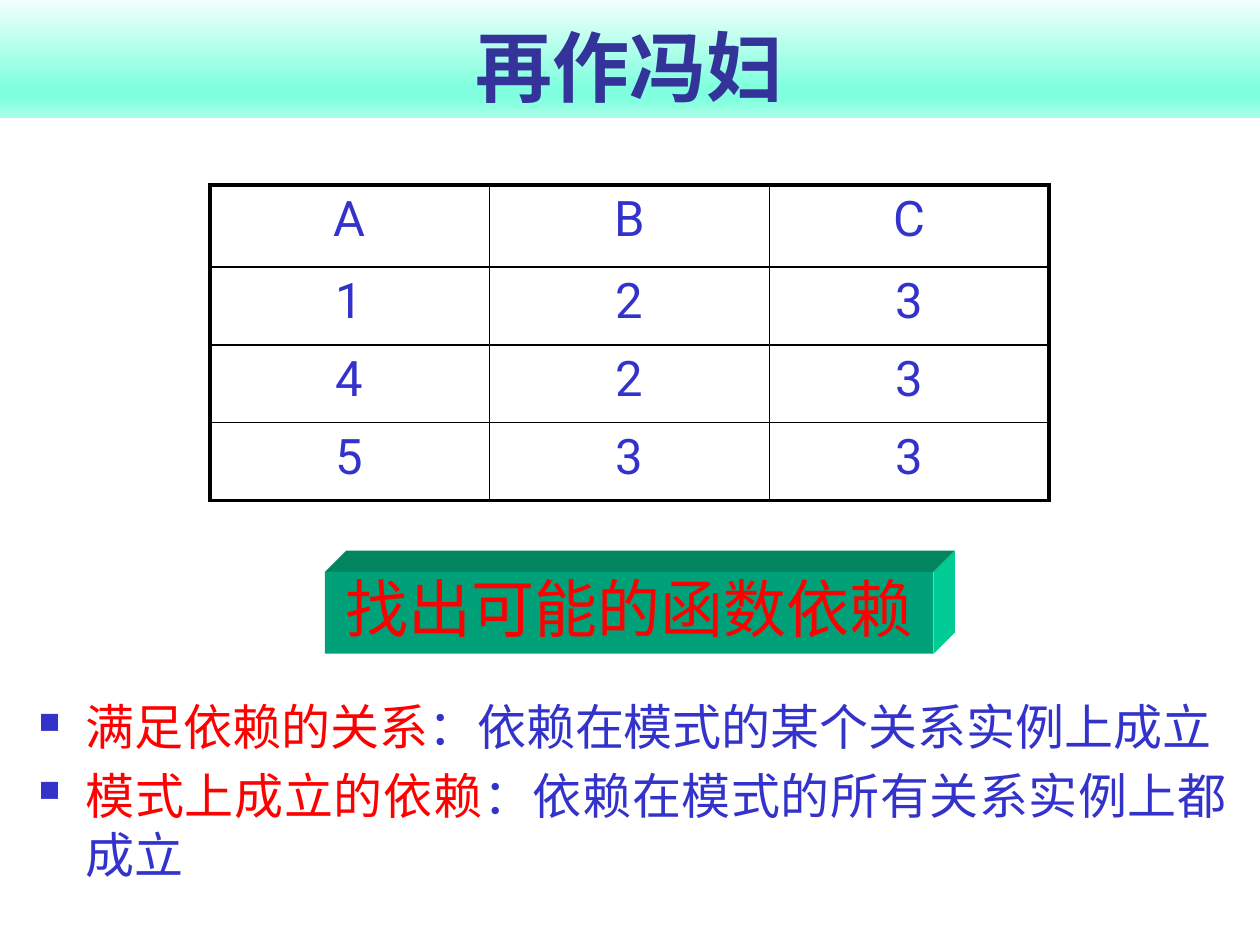
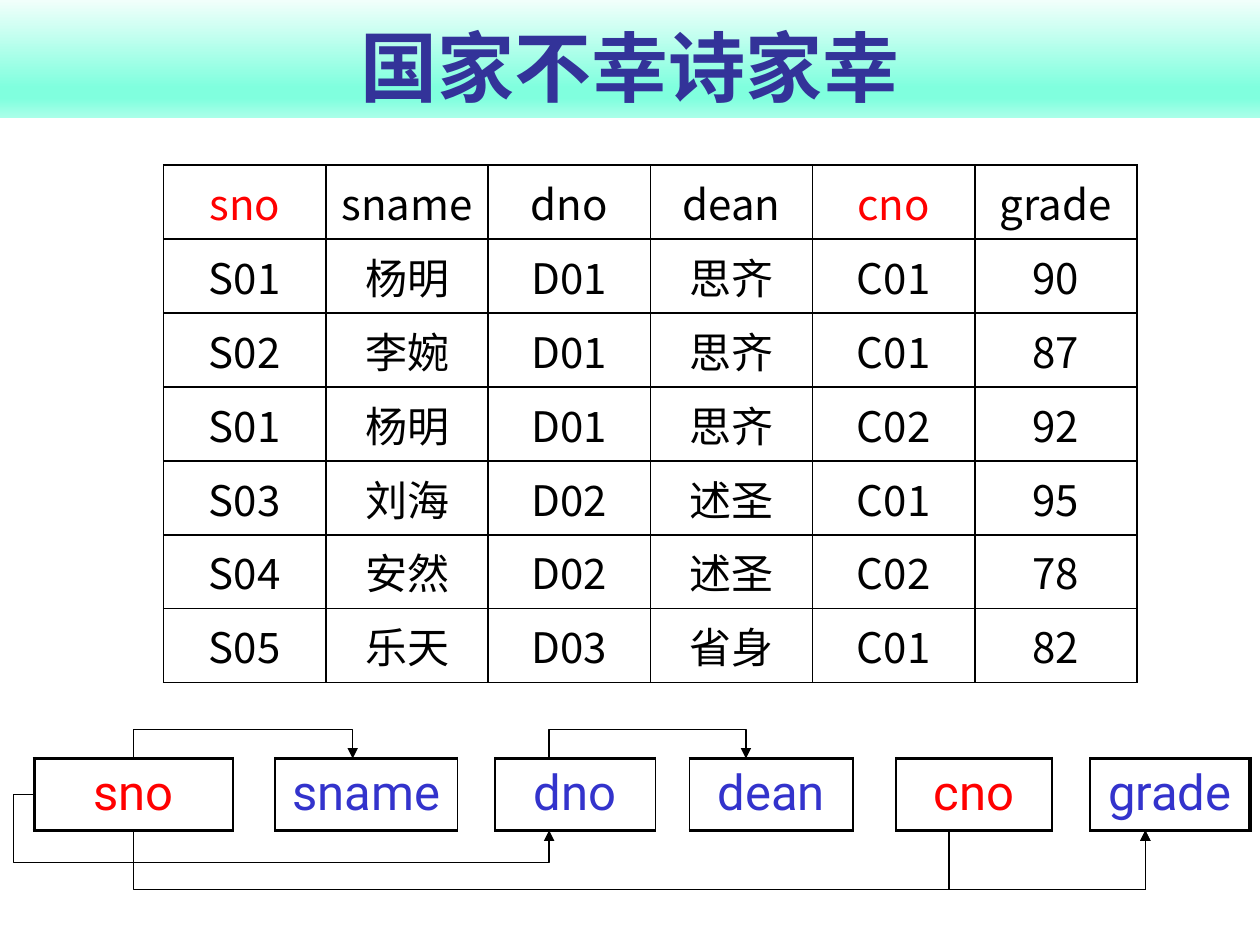
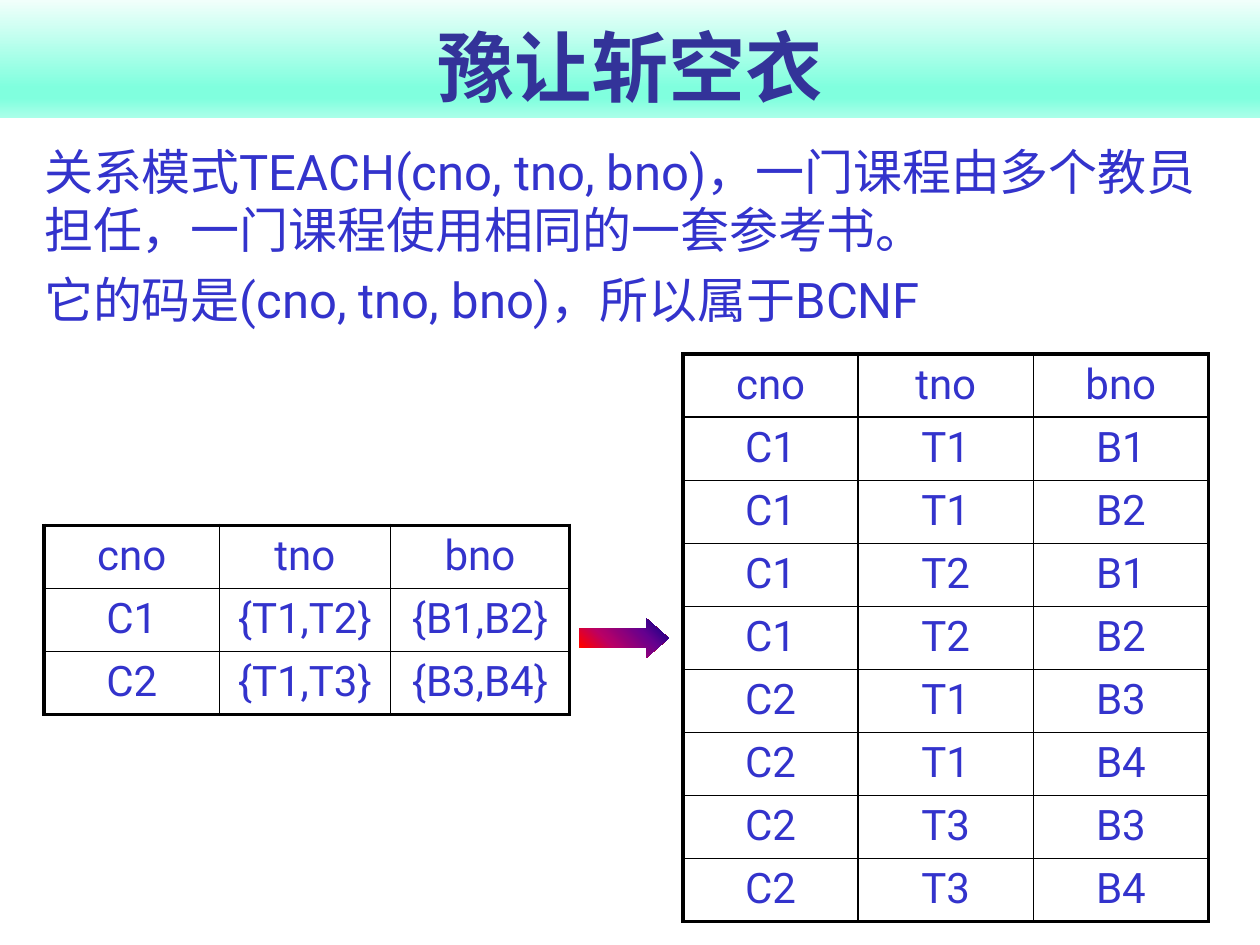
from lxml.etree import SubElement
from pptx import Presentation
from pptx.dml.color import RGBColor
from pptx.enum.shapes import MSO_CONNECTOR, MSO_SHAPE
from pptx.enum.text import MSO_ANCHOR, MSO_AUTO_SIZE, PP_ALIGN
from pptx.oxml import parse_xml
from pptx.oxml.ns import nsdecls, qn
from pptx.util import Cm, Emu, Pt

COLOURS = {
    "title": "333399",
    "text": "3333CC",
    "accent": "FF0000",
    "line": "000000",
    "front": "00A078",
    "top": "008560",
    "side": "00CB95",
}
BAND_STOPS = [(0, "F1FFFB"), (74, "80FFDE"), (83, "80FFDE"), (100, "AAFFE9")]
ARROW_STOPS = [(0, "FF8200"), (10, "FF0000"), (35, "BA0066"), (70, "66008F"), (100, "000082")]
FONT = "Roboto"
TABLE_FONT = "Noto Sans CJK JP"
BOX_FONT = "Times New Roman"
THICK, THIN = 2.25, 1
KEYS = {"sno", "cno"}
CONNECTOR_THICKNESS = Emu(1588)


def style(font, size, colour="text", name=FONT, bold=False):
    font.name = name
    font.size = Pt(size)
    font.bold = bold
    font.color.rgb = RGBColor.from_string(COLOURS[colour])


def set_gradient(shape, stops, angle):
    shape.fill.background()
    properties = shape.element.spPr
    marks = "".join(
        f'<a:gs pos="{pos * 1000}"><a:srgbClr val="{colour}"/></a:gs>' for pos, colour in stops
    )
    gradient = parse_xml(
        f'<a:gradFill {nsdecls("a")} rotWithShape="1"><a:gsLst>{marks}</a:gsLst>'
        f'<a:lin ang="{angle * 60000}" scaled="0"/></a:gradFill>'
    )
    properties.replace(properties.find(qn("a:noFill")), gradient)


def paint(shape, colour):
    shape.shadow.inherit = False
    shape.fill.solid()
    shape.fill.fore_color.rgb = RGBColor.from_string(COLOURS[colour])
    shape.line.fill.background()


def add_titled_page(deck, text):
    page = deck.slides.add_slide(deck.slide_layouts[5])
    title = page.shapes.title
    title.left, title.top, title.width, title.height = Cm(0), Cm(0), deck.slide_width, Cm(2.38)
    set_gradient(title, BAND_STOPS, 90)
    frame = title.text_frame
    frame.text = text
    frame.auto_size = MSO_AUTO_SIZE.NONE
    frame.vertical_anchor = MSO_ANCHOR.BOTTOM
    para = frame.paragraphs[0]
    para.alignment = PP_ALIGN.CENTER
    style(para.font, 44, "title", bold=True)
    return page


def add_text_box(page, left, top, width, height):
    frame = page.shapes.add_textbox(Cm(left), Cm(top), Cm(width), Cm(height)).text_frame
    frame.word_wrap = True
    return frame


def set_borders(cell, widths):
    properties = cell._tc.get_or_add_tcPr()
    for side, width in zip("LRTB", widths):
        line = SubElement(properties, qn(f"a:ln{side}"), w=str(Pt(width)))
        if width:
            fill = SubElement(line, qn("a:solidFill"))
            SubElement(fill, qn("a:srgbClr"), val=COLOURS["line"])
        else:
            SubElement(line, qn("a:noFill"))


def add_grid(page, left, top, columns, heights, rows, size, colour="text", name=FONT,
             outer=THICK, keys=(), anchor=MSO_ANCHOR.TOP):
    table = page.shapes.add_table(
        len(rows), len(columns), Cm(left), Cm(top), Cm(sum(columns)), Cm(sum(heights))
    ).table
    table.first_row = table.horz_banding = False
    for column, width in zip(table.columns, columns):
        column.width = Cm(width)
    for row, height in zip(table.rows, heights):
        row.height = Cm(height)
    last_row, last_column = len(rows) - 1, len(columns) - 1
    for y, row in enumerate(rows):
        for x, text in enumerate(row):
            cell = table.cell(y, x)
            edges = (x == 0, x == last_column, y == 0, y == last_row)
            widths = [outer if edge else THIN for edge in edges]
            if not text:
                widths[2:] = 0, 0
            set_borders(cell, widths)
            cell.fill.background()
            cell.vertical_anchor = anchor
            cell.text = text
            para = cell.text_frame.paragraphs[0]
            para.alignment = PP_ALIGN.CENTER
            style(para.font, size, "accent" if text in keys else colour, name)


def add_block(page, left, top, width, height, depth, text):
    right, bottom = left + width, top + height
    faces = {
        "top": [(left, top), (left + depth, top - depth), (right + depth, top - depth), (right, top)],
        "side": [(right, top), (right + depth, top - depth),
                 (right + depth, bottom - depth), (right, bottom)],
    }
    for colour, corners in faces.items():
        points = [(Cm(x), Cm(y)) for x, y in corners]
        builder = page.shapes.build_freeform(*points[0])
        builder.add_line_segments(points[1:])
        paint(builder.convert_to_shape(), colour)
    front = page.shapes.add_shape(MSO_SHAPE.RECTANGLE, Cm(left), Cm(top), Cm(width), Cm(height))
    paint(front, "front")
    frame = front.text_frame
    frame.text = text
    frame.word_wrap = False
    frame.vertical_anchor = MSO_ANCHOR.TOP
    para = frame.paragraphs[0]
    para.alignment = PP_ALIGN.CENTER
    para.line_spacing = 0.9
    style(para.font, 36, "accent", BOX_FONT)


def add_bullets(page, left, top, width, height, items):
    frame = add_text_box(page, left, top, width, height)
    for index, (term, meaning) in enumerate(items):
        para = frame.add_paragraph() if index else frame.paragraphs[0]
        properties = para._p.get_or_add_pPr()
        properties.set("marL", str(Cm(0.95)))
        properties.set("indent", str(-Cm(0.95)))
        colour = SubElement(properties, qn("a:buClr"))
        SubElement(colour, qn("a:srgbClr"), val=COLOURS["text"])
        SubElement(properties, qn("a:buSzPct"), val="60000")
        SubElement(properties, qn("a:buChar"), char="■")
        para.alignment = PP_ALIGN.JUSTIFY
        if index:
            para.space_before = Pt(5.6)
        for text, tone in ((term, "accent"), (meaning, "text")):
            span = para.add_run()
            span.text = text
            style(span.font, 28, tone)


def add_statement(page, left, top, width, height, lines):
    frame = add_text_box(page, left, top, width, height)
    for index, text in enumerate(lines):
        para = frame.add_paragraph() if index else frame.paragraphs[0]
        para.text = text
        if index:
            para.space_before = Pt(6)
        style(para.font, 28)


def add_elbow(page, start, end, preset, adjustments):
    connector = page.shapes.add_connector(MSO_CONNECTOR.ELBOW, *start, *end)
    connector.line.color.rgb = RGBColor.from_string(COLOURS["line"])
    connector.line.width = Pt(0.75)
    properties = connector.element.spPr
    SubElement(properties.find(qn("a:ln")), qn("a:tailEnd"), type="triangle")
    SubElement(properties, qn("a:effectLst"))
    geometry = properties.find(qn("a:prstGeom"))
    geometry.set("prst", preset)
    guides = geometry.find(qn("a:avLst"))
    for number, ratio in enumerate(adjustments, 1):
        SubElement(guides, qn("a:gd"), name=f"adj{number}", fmla=f"val {round(ratio * 100000)}")
    return connector


def add_bracket(page, source, target, level, depth):
    middle, span = Cm((source + target) / 2), Cm(target - source)
    left, top = middle - CONNECTOR_THICKNESS // 2, Cm(level) - span // 2
    connector = add_elbow(
        page, (left, top), (left + CONNECTOR_THICKNESS, top + span),
        "bentConnector3", [Cm(depth) / CONNECTOR_THICKNESS],
    )
    turn, flip = (90, "flipV") if depth < 0 else (270, "flipH")
    frame = connector.element.spPr.find(qn("a:xfrm"))
    frame.set("rot", str(turn * 60000))
    frame.set(flip, "1")


def add_dependencies(page, left, top, height):
    names = ["sno", "", "sname", "", "dno", "", "dean", "", "cno", "", "grade"]
    widths = [4.01, 0.84, 3.68, 0.76, 3.23, 0.69, 3.3, 0.86, 3.15, 0.76, 3.23]
    add_grid(page, left, top, widths, [height], [names], 28, keys=KEYS)
    offsets = {"sno": 2, "sname": 6.42, "dno": 10.38, "dean": 14.35, "cno": 18.44, "grade": 22.4}
    ports = {name: left + offset for name, offset in offsets.items()}
    bottom = top + height
    for source, target, level, depth in (
        ("sno", "sname", top, -0.64),
        ("dno", "dean", top, -0.64),
        ("sno", "grade", bottom, 1.32),
        ("cno", "grade", bottom, 1.32),
    ):
        add_bracket(page, ports[source], ports[target], level, depth)
    reach, drop = ports["dno"] - left, height / 2
    add_elbow(
        page, (Cm(left), Cm(top + drop)), (Cm(ports["dno"]), Cm(bottom)),
        "bentConnector4", [-0.42 / reach, (drop + 0.64) / drop],
    )


def add_gradient_arrow(page, left, top, width, height):
    arrow = page.shapes.add_shape(MSO_SHAPE.RIGHT_ARROW, Cm(left), Cm(top), Cm(width), Cm(height))
    arrow.shadow.inherit = False
    arrow.adjustments[0], arrow.adjustments[1] = 0.5, 0.565
    arrow.line.fill.background()
    set_gradient(arrow, ARROW_STOPS, 315)


def build_finding_page(deck):
    page = add_titled_page(deck, "再作冯妇")
    rows = ["ABC", "123", "423", "533"]
    add_grid(page, 4.23, 3.73, [5.64] * 3, [1.65] + [1.57] * 3, rows, 28)
    add_block(page, 6.55, 11.53, 12.27, 1.65, 0.43, "找出可能的函数依赖")
    add_bullets(page, 0.53, 13.92, 24.46, 3.99, [
        ("满足依赖的关系", "：依赖在模式的某个关系实例上成立"),
        ("模式上成立的依赖", "：依赖在模式的所有关系实例上都成立"),
    ])


def build_student_page(deck):
    page = add_titled_page(deck, "国家不幸诗家幸")
    rows = [
        ("sno", "sname", "dno", "dean", "cno", "grade"),
        ("S01", "杨明", "D01", "思齐", "C01", "90"),
        ("S02", "李婉", "D01", "思齐", "C01", "87"),
        ("S01", "杨明", "D01", "思齐", "C02", "92"),
        ("S03", "刘海", "D02", "述圣", "C01", "95"),
        ("S04", "安然", "D02", "述圣", "C02", "78"),
        ("S05", "乐天", "D03", "省身", "C01", "82"),
    ]
    add_grid(page, 3.3, 3.33, [3.27] * 6, [1.49] * 7, rows, 24, "line", TABLE_FONT,
             THIN, KEYS, MSO_ANCHOR.MIDDLE)
    add_dependencies(page, 0.69, 15.29, 1.45)


def build_teaching_page(deck):
    page = add_titled_page(deck, "豫让斩空衣")
    add_statement(page, 0.64, 2.72, 23.93, 4.01, [
        "关系模式TEACH(cno, tno, bno)，一门课程由多个教员担任，一门课程使用相同的一套参考书。",
        "它的码是(cno, tno, bno)，所以属于BCNF",
    ])
    header = ("cno", "tno", "bno")
    nested = [
        ("C1", ("T1", "T2"), ("B1", "B2")),
        ("C2", ("T1", "T3"), ("B3", "B4")),
    ]
    flat = [(c, t, b) for c, teachers, books in nested for t in teachers for b in books]
    sets = [(c, f"{{{','.join(t)}}}", f"{{{','.join(b)}}}") for c, t, b in nested]
    add_grid(page, 13.77, 7.14, [3.53] * 3, [1.25] * 9, [header] + flat, 24)
    add_grid(page, 0.89, 10.59, [3.53, 3.45, 3.61], [1.25] * 3, [header] + sets, 24)
    add_gradient_arrow(page, 11.68, 12.47, 1.8, 0.79)


def main():
    deck = Presentation()
    deck.slide_width, deck.slide_height = Cm(25.4), Cm(19.05)
    build_finding_page(deck)
    build_student_page(deck)
    build_teaching_page(deck)
    deck.save("out.pptx")


if __name__ == "__main__":
    main()
